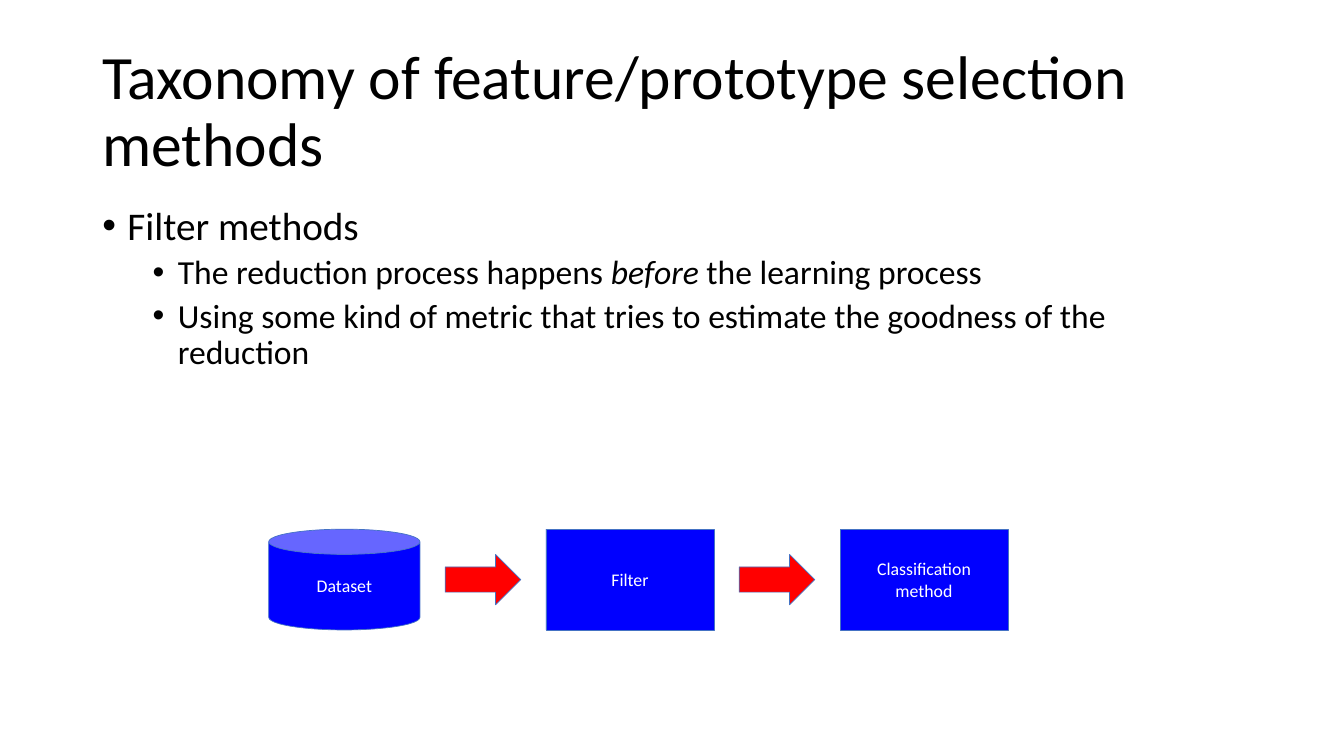
from dataclasses import dataclass

from lxml.etree import SubElement
from pptx import Presentation
from pptx.dml.color import RGBColor
from pptx.enum.shapes import MSO_SHAPE as SHAPE
from pptx.enum.text import MSO_ANCHOR as ANCHOR, MSO_AUTO_SIZE as AUTO_SIZE, PP_ALIGN as ALIGN
from pptx.oxml.ns import qn
from pptx.util import Emu, Pt

PX = 9525  # 96 px to the inch
FONT = "Calibri"
BLACK, WHITE, BLUE, RED, OUTLINE = "000000", "FFFFFF", "0000FF", "FF0000", "4472C4"
MARGIN, CONTENT_W = 88, 1104
FLOW_LEFT, FLOW_MIDDLE, FLOW_GAP = 256, 552, 24
BULLET_HANG = 24


@dataclass(frozen=True)
class Step:
    kind: SHAPE
    width: int
    height: int
    fill: str
    label: str = ""


@dataclass(frozen=True)
class Bullet:
    level: int
    size: int
    space_before: int
    indent: int
    runs: tuple[tuple[str, bool], ...]  # text, italic


ARROW = Step(SHAPE.RIGHT_ARROW, 72, 48, RED)
FLOW = [
    Step(SHAPE.CAN, 144, 96, BLUE, "Dataset"),
    ARROW,
    Step(SHAPE.RECTANGLE, 160, 96, BLUE, "Filter"),
    ARROW,
    Step(SHAPE.RECTANGLE, 160, 96, BLUE, "Classification method"),
]
BULLETS = [
    Bullet(0, 28, 10, 24, (("Filter methods", False),)),
    Bullet(1, 24, 5, 72, (("The reduction process happens ", False), ("before", True),
                          (" the learning process", False))),
    Bullet(1, 24, 5, 72, (("Using some kind of metric that tries to estimate "
                           "the goodness of the reduction", False),)),
]


def px(n: int) -> Emu:
    return Emu(n * PX)


def rgb(color: str) -> RGBColor:
    return RGBColor.from_string(color)


def add_text(p, text: str, *, size: float, color: str = BLACK, italic: bool = False,
             align: ALIGN = ALIGN.LEFT, spacing: float = 1.0) -> None:
    p.alignment = align
    p.line_spacing = spacing
    r = p.add_run()
    r.text = text
    r.font.name = FONT
    r.font.size = Pt(size)
    r.font.italic = italic
    r.font.color.rgb = rgb(color)


def set_title(s, text: str) -> None:
    title = s.shapes.title
    title.left, title.top, title.width, title.height = map(px, (MARGIN, 38, CONTENT_W, 139))
    tf = title.text_frame
    tf.auto_size = AUTO_SIZE.NONE
    tf.vertical_anchor = ANCHOR.MIDDLE
    add_text(tf.paragraphs[0], text, size=44, spacing=0.9)


def add_bullets(s, bullets: list[Bullet]) -> None:
    tf = s.shapes.add_textbox(px(MARGIN), px(192), px(CONTENT_W), px(457)).text_frame
    tf.word_wrap = True
    for i, bullet in enumerate(bullets):
        p = tf.add_paragraph() if i else tf.paragraphs[0]
        p.level = bullet.level
        p.space_before = Pt(bullet.space_before)
        for text, italic in bullet.runs:
            add_text(p, text, size=bullet.size, italic=italic, spacing=0.9)
        pPr = p._p.get_or_add_pPr()
        pPr.set("marL", str(px(bullet.indent)))
        pPr.set("indent", str(-px(BULLET_HANG)))
        SubElement(pPr, qn("a:buFont"), typeface="Arial")
        SubElement(pPr, qn("a:buChar"), char="•")


def add_step(s, step: Step, left: int) -> None:
    sp = s.shapes.add_shape(step.kind, px(left), px(FLOW_MIDDLE - step.height // 2),
                            px(step.width), px(step.height))
    sp.shadow.inherit = False
    sp.fill.solid()
    sp.fill.fore_color.rgb = rgb(step.fill)
    sp.line.color.rgb = rgb(OUTLINE)
    sp.line.width = Pt(0.5)
    if step.label:
        tf = sp.text_frame
        tf.word_wrap = True
        tf.vertical_anchor = ANCHOR.MIDDLE
        add_text(tf.paragraphs[0], step.label, size=12.7, color=WHITE, align=ALIGN.CENTER)


def add_flow(s, steps: list[Step]) -> None:
    left = FLOW_LEFT
    for step in steps:
        add_step(s, step, left)
        left += step.width + FLOW_GAP


def main() -> None:
    prs = Presentation()
    prs.slide_width, prs.slide_height = px(1280), px(720)
    s = prs.slides.add_slide(prs.slide_layouts.get_by_name("Title Only"))
    set_title(s, "Taxonomy of feature/prototype selection methods")
    add_bullets(s, BULLETS)
    add_flow(s, FLOW)
    prs.save("out.pptx")


if __name__ == "__main__":
    main()
